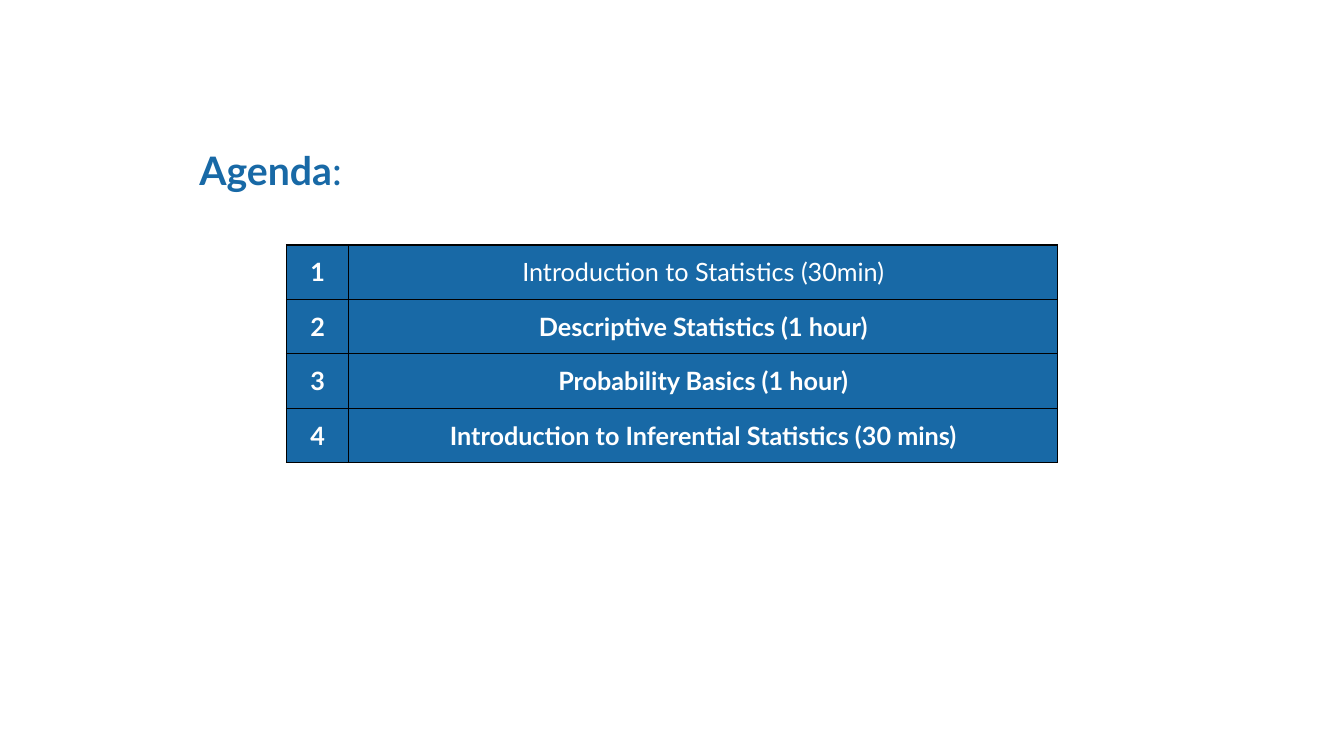
from lxml.etree import SubElement
from pptx import Presentation
from pptx.dml.color import RGBColor
from pptx.enum.text import MSO_ANCHOR, MSO_AUTO_SIZE, PP_ALIGN
from pptx.oxml.ns import qn
from pptx.util import Inches, Pt

HEADING = [("Agenda", True), (":", False)]
AGENDA = [  # topic, bold
    ("Introduction to Statistics (30min)", False),
    ("Descriptive Statistics (1 hour)", True),
    ("Probability Basics (1 hour)", True),
    ("Introduction to Inferential Statistics (30 mins)", True),
]
COLORS = {"blue": "1869A6", "white": "FFFFFF", "border": "000000"}
FONT = "Lato"
COLUMN_WIDTHS = (0.62, 7.03)
ROW_HEIGHT = 0.54


def add_span(para, text, size, color, bold):
    span = para.add_run()
    span.text = text
    span.font.name = FONT
    span.font.size = Pt(size)
    span.font.bold = bold
    span.font.color.rgb = RGBColor.from_string(COLORS[color])


def add_borders(cell):
    """Draw a thin line on all four sides; must run before the cell is filled."""
    properties = cell._tc.get_or_add_tcPr()
    for side in ("a:lnL", "a:lnR", "a:lnT", "a:lnB"):
        line = SubElement(properties, qn(side), w=str(Pt(1)))
        fill = SubElement(line, qn("a:solidFill"))
        SubElement(fill, qn("a:srgbClr"), val=COLORS["border"])


def add_heading(page):
    box = page.shapes.add_textbox(Inches(1.88), Inches(1.4), Inches(1.91), Inches(0.57))
    frame = box.text_frame
    frame.word_wrap = True
    frame.auto_size = MSO_AUTO_SIZE.SHAPE_TO_FIT_TEXT
    for text, bold in HEADING:
        add_span(frame.paragraphs[0], text, 28, "blue", bold)


def fill_cell(cell, text, bold):
    add_borders(cell)
    cell.fill.solid()
    cell.fill.fore_color.rgb = RGBColor.from_string(COLORS["blue"])
    cell.vertical_anchor = MSO_ANCHOR.MIDDLE
    para = cell.text_frame.paragraphs[0]
    para.alignment = PP_ALIGN.CENTER
    add_span(para, text, 18, "white", bold)


def add_agenda(page):
    table = page.shapes.add_table(
        len(AGENDA), len(COLUMN_WIDTHS), Inches(2.84), Inches(2.43),
        Inches(sum(COLUMN_WIDTHS)), Inches(ROW_HEIGHT * len(AGENDA))).table
    table.first_row = table.horz_banding = False
    for column, width in zip(table.columns, COLUMN_WIDTHS):
        column.width = Inches(width)
    for index, (topic, bold) in enumerate(AGENDA):
        table.rows[index].height = Inches(ROW_HEIGHT)
        fill_cell(table.cell(index, 0), str(index + 1), True)
        fill_cell(table.cell(index, 1), topic, bold)


def main():
    deck = Presentation()
    deck.slide_width, deck.slide_height = Inches(13.33), Inches(7.5)
    page = deck.slides.add_slide(deck.slide_layouts[6])
    add_heading(page)
    add_agenda(page)
    deck.save("out.pptx")


if __name__ == "__main__":
    main()
